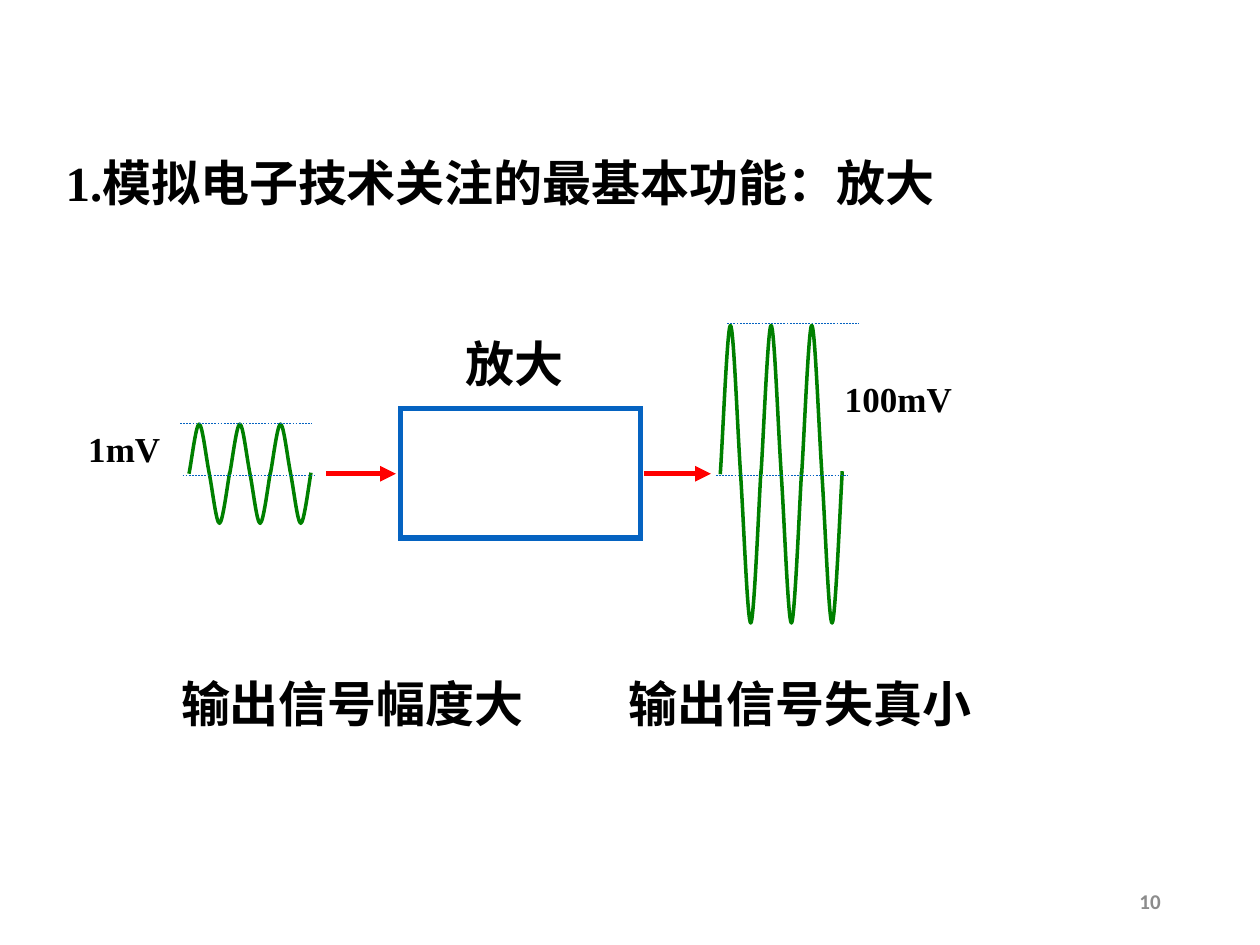
import pptx
import pptx.util
import pptx.dml.color
import pptx.enum.dml
import pptx.enum.shapes
import pptx.enum.text
import pptx.oxml
import pptx.oxml.ns

Cm, Pt = pptx.util.Cm, pptx.util.Pt
Align = pptx.enum.text.PP_ALIGN
Anchor = pptx.enum.text.MSO_ANCHOR
Kind = pptx.enum.shapes

BLUE, GREEN, RED, BLACK, GRAY = "0563C1", "008000", "FF0000", "000000", "8C8C8C"
HEAD = {"name": "Times New Roman", "size": Pt(28), "bold": True}
LABEL = {**HEAD, "size": Pt(20)}
PAGE = {"name": "Calibri", "size": Pt(12), "bold": True}

TITLE = ("1.模拟电子技术关注的最基本功能：放大", (1.07, 2.48, 19.79, 1.75))
TEXTS = [
    ("输出信号幅度大", (3.4, 13.46, 7.8, 1.45), HEAD),
    ("输出信号失真小", (12.42, 13.46, 7.8, 1.45), HEAD),
    ("放大", (9.13, 6.6, 2.62, 1.45), HEAD),
    ("1mV", (1.53, 8.5, 2.62, 1.09), LABEL),
    ("100mV", (16.78, 7.49, 2.9, 1.09), LABEL),
]
NUMBER = ("10", (17.93, 17.65, 5.72, 1.02))
BOX = (8.08, 8.23, 4.83, 2.62)
PERIOD = 0.82
CYCLE = [(0, 0), (0.05, 0.17), (0.17, 1), (0.25, 1),
         (0.33, 1), (0.42, 0.33), (0.5, 0),
         (0.58, -0.33), (0.67, -1), (0.75, -1),
         (0.83, -1), (0.95, -0.2), (1, 0.02)]
WAVES = [(3.81, 9.55, 1), (14.52, 9.56, 3)]
ARROWS = [(6.58, 7.98), (12.98, 14.33)]
LEVEL = 9.55
GUIDES = [(3.68, 9.57), (14.43, 9.57), (14.66, 6.52), (3.63, 8.53)]
SPAN = 2.66


def color(code):
    return pptx.dml.color.RGBColor.from_string(code)


def cms(nums):
    return [Cm(n) for n in nums]


def node(tag, attrs=""):
    return pptx.oxml.parse_xml(
        "<a:%s %s %s/>" % (tag, pptx.oxml.ns.nsdecls("a"), attrs))


def stroke(shape, code, width):
    shape.line.color.rgb = color(code)
    shape.line.width = Pt(width)


def detail(shape, tag, attrs):
    shape.element.spPr.find(pptx.oxml.ns.qn("a:ln")).append(node(tag, attrs))


def write(shape, text, style, code=BLACK, align=Align.LEFT, anchor=Anchor.TOP):
    frame = shape.text_frame
    form = {"word_wrap": True, "vertical_anchor": anchor,
            "auto_size": pptx.enum.text.MSO_AUTO_SIZE.NONE}
    for key, val in form.items():
        setattr(frame, key, val)
    para = frame.paragraphs[0]
    para.alignment = align
    run = para.add_run()
    run.text = text
    for key, val in style.items():
        setattr(run.font, key, val)
    run.font.color.rgb = color(code)
    return para


def line(shapes, start, end, y, code, width):
    rule = shapes.add_connector(Kind.MSO_CONNECTOR.STRAIGHT, *cms((start, y, end, y)))
    stroke(rule, code, width)
    rule.element.spPr.append(node("effectLst"))
    return rule


def bend(curve):
    legs = list(curve.element.iter(pptx.oxml.ns.qn("a:lnTo")))
    for i in range(0, len(legs), 3):
        arc = node("cubicBezTo")
        legs[i].addprevious(arc)
        for leg in legs[i:i + 3]:
            arc.append(leg[0])
            leg.getparent().remove(leg)


def wave(shapes, left, mid, high):
    spots = [cms((left + PERIOD * x, mid - high * y)) for x, y in CYCLE]
    pen = shapes.build_freeform(*spots[0])
    pen.add_line_segments(spots[1:], close=False)
    curve = pen.convert_to_shape()
    bend(curve)
    curve.shadow.inherit = False
    curve.fill.background()
    stroke(curve, GREEN, 2)


def main():
    deck = pptx.Presentation()
    deck.slide_width, deck.slide_height = Cm(25.4), Cm(19.05)
    slide = deck.slides.add_slide(deck.slide_layouts[5])
    shapes = slide.shapes

    text, place = TITLE
    title = shapes.title
    for key, val in zip(("left", "top", "width", "height"), cms(place)):
        setattr(title, key, val)
    write(title, text, HEAD).line_spacing = 1.4

    for text, place, style in TEXTS:
        write(shapes.add_textbox(*cms(place)), text, style)

    box = shapes.add_shape(Kind.MSO_SHAPE.RECTANGLE, *cms(BOX))
    box.shadow.inherit = False
    box.fill.background()
    stroke(box, BLUE, 3)
    detail(box, "miter", 'lim="800000"')

    for left, mid, high in WAVES:
        group = shapes.add_group_shape()
        for turn in (1, 2, 0):
            wave(group.shapes, left + turn * PERIOD, mid, high)
    for start, end in ARROWS:
        rule = line(shapes, start, end, LEVEL, RED, 3)
        detail(rule, "tailEnd", 'type="triangle"')
    for left, y in GUIDES:
        rule = line(shapes, left, left + SPAN, y, BLUE, 0.25)
        rule.line.dash_style = pptx.enum.dml.MSO_LINE.DASH

    text, place = NUMBER
    write(shapes.add_textbox(*cms(place)), text, PAGE, GRAY, Align.RIGHT, Anchor.MIDDLE)
    deck.save("out.pptx")


if __name__ == "__main__":
    main()
